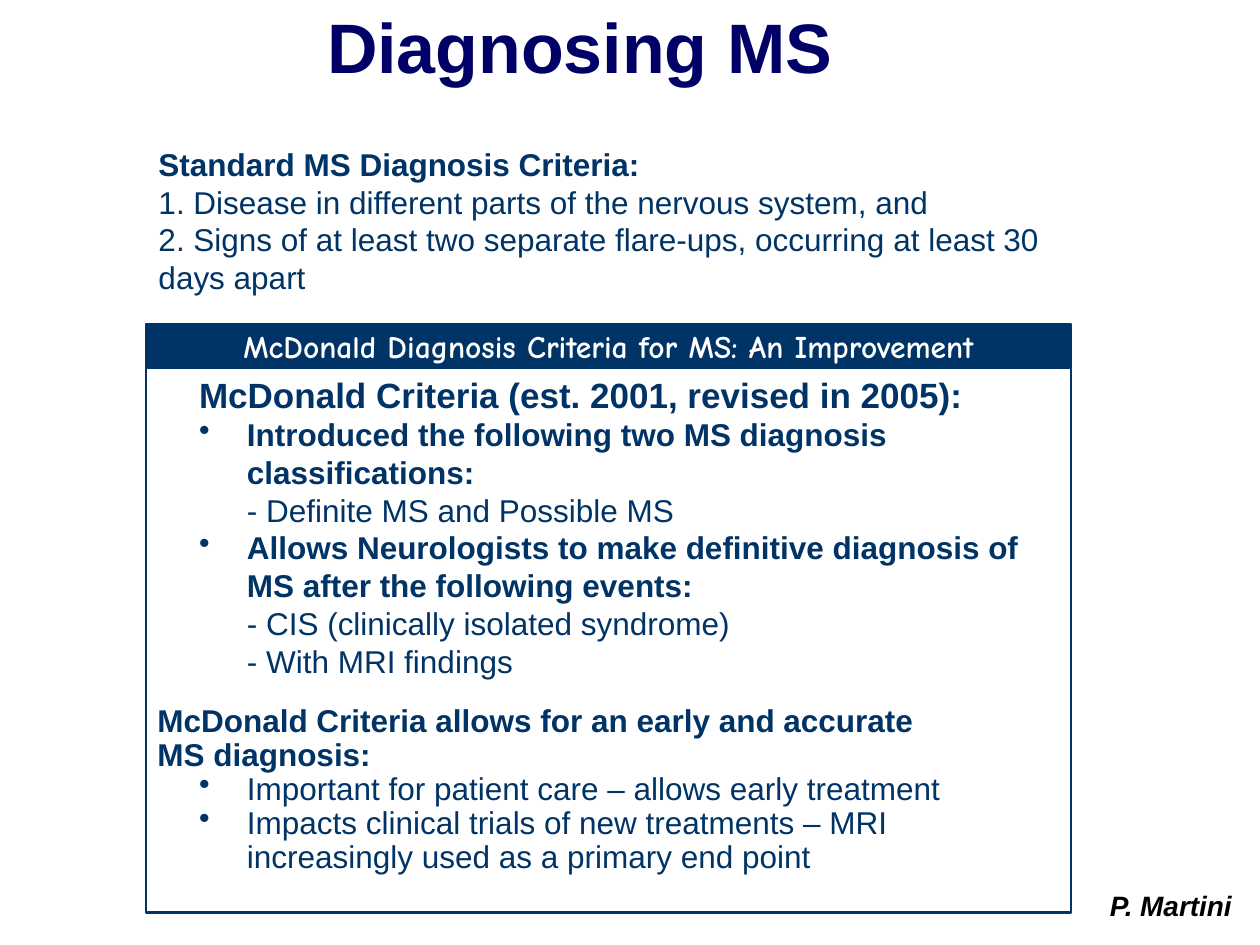
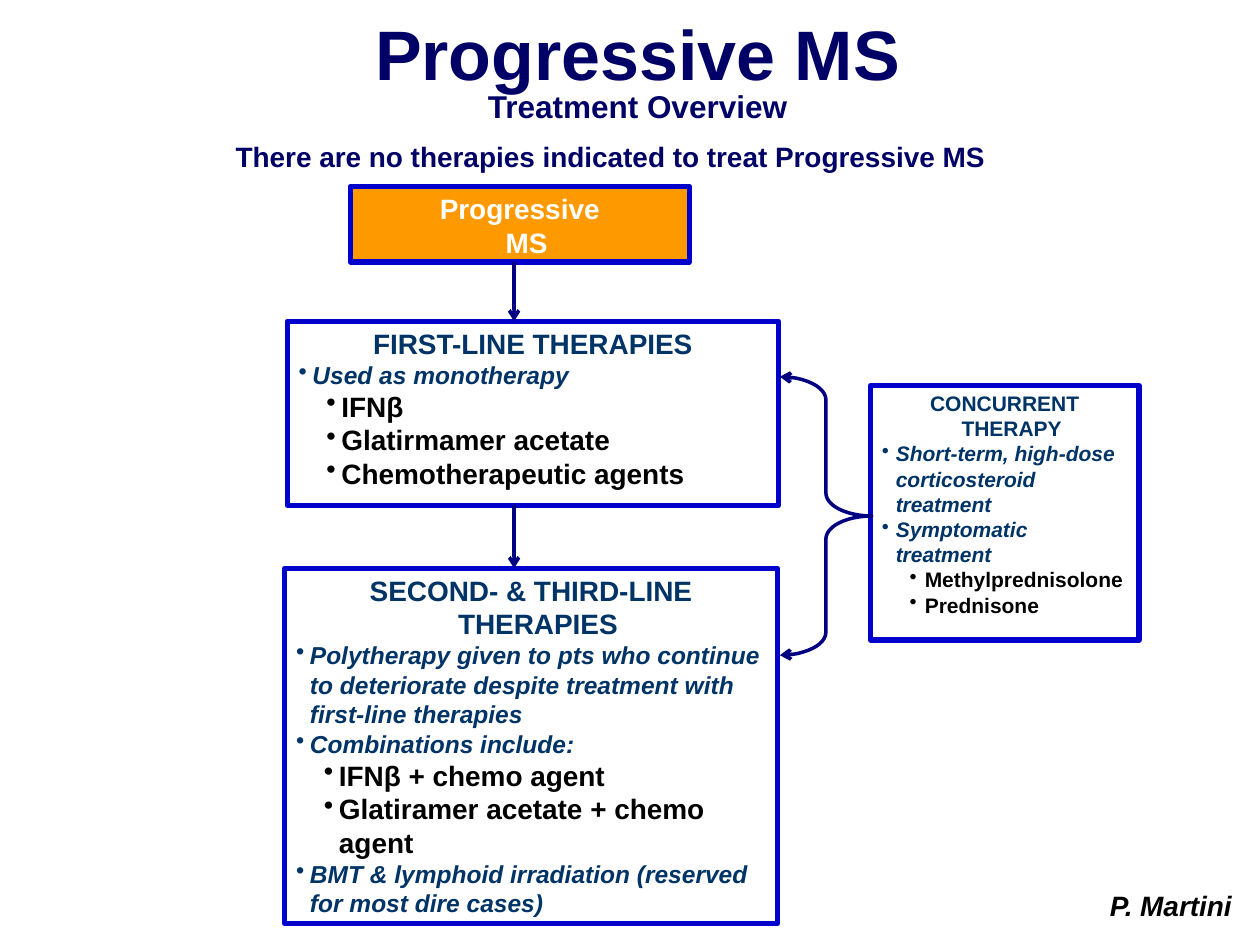
from lxml import etree
from pptx import Presentation
from pptx import util as u
from pptx.dml import color
from pptx.enum import shapes, text
from pptx.oxml import ns

# Shared look: a grid of 100 columns by 75 rows
COLUMNS, ROWS = 100, 75
WIDTH, HEIGHT = u.Inches(10), u.Inches(7.5)
FONT = "Arial"
TITLE, INK, BLACK, WHITE = "000066", "003366", "000000", "FFFFFF"
FRAME, ARROW, ORANGE = "0000CC", "000080", "FF9900"
LINE_HEIGHT = 1.2
INSETS = (0.09, 0.04, 0.09, 0.04)

# Paragraph formats: margins in inches
CENTERED = dict(align=text.PP_ALIGN.CENTER, margin=0.11, indent=-0.11)
NOTE = dict(margin=0.11, indent=-0.11, bullet=True, italic=True)
DRUG = dict(margin=0.34, indent=-0.12, bullet=True, ink=BLACK)
POINT = dict(margin=0.71, indent=-0.38, bullet=True)


def rgb(value):
    return color.RGBColor.from_string(value)


def place(box):
    """Turn a box in columns and rows into slide lengths."""
    left, top, width, height = box
    return (int(left * WIDTH / COLUMNS), int(top * HEIGHT / ROWS),
            int(width * WIDTH / COLUMNS), int(height * HEIGHT / ROWS))


def inside(box, left, top, width, height):
    return box[0] + left, box[1] + top, width, height


def add_text(frame, words, size=18, ink=INK, bold=True, italic=False, font=FONT,
             align=text.PP_ALIGN.LEFT, margin=0, indent=0, bullet=False,
             spacing=1, before=0, plain=""):
    """Add one paragraph; the plain part follows the words without bold."""
    paragraph = frame.paragraphs[0]
    if paragraph.runs:
        paragraph = frame.add_paragraph()
    properties = paragraph._p.get_or_add_pPr()
    properties.set("marL", str(u.Inches(margin)))
    properties.set("indent", str(u.Inches(indent)))
    if bullet:
        etree.SubElement(properties, ns.qn("a:buChar")).set("char", "•")
    paragraph.alignment = align
    paragraph.line_spacing = u.Pt(size * LINE_HEIGHT * spacing)
    paragraph.space_before = u.Pt(before)
    for part, weight in ((words, bold), (plain, False)):
        for number, line in enumerate(part.split("\n")):
            if number:
                paragraph.add_line_break()
            if line:
                run = paragraph.add_run()
                run.text = line
                run.font.name, run.font.size = font, u.Pt(size)
                run.font.bold, run.font.italic = weight, italic
                run.font.color.rgb = rgb(ink)


def set_frame(frame, insets=INSETS, anchor=text.MSO_ANCHOR.TOP, wrap=True):
    (frame.margin_left, frame.margin_top,
     frame.margin_right, frame.margin_bottom) = map(u.Inches, insets)
    frame.vertical_anchor = anchor
    frame.word_wrap = wrap
    frame.auto_size = text.MSO_AUTO_SIZE.NONE
    return frame


def add_box(slide, box, line, width, fill=None, **frame_format):
    shape = slide.shapes.add_shape(shapes.MSO_SHAPE.RECTANGLE, *place(box))
    shape.shadow.inherit = False
    if fill:
        shape.fill.solid()
        shape.fill.fore_color.rgb = rgb(fill)
    else:
        shape.fill.background()
    shape.line.color.rgb, shape.line.width = rgb(line), u.Pt(width)
    return set_frame(shape.text_frame, **frame_format)


def add_label(slide, box, **frame_format):
    return set_frame(slide.shapes.add_textbox(*place(box)).text_frame, **frame_format)


def style_arrow(shape, *ends):
    shape.line.color.rgb, shape.line.width = rgb(ARROW), u.Pt(2)
    line = shape.line._get_or_add_ln()
    for end in ends:
        etree.SubElement(line, ns.qn(f"a:{end}")).set("type", "arrow")


def add_arrow(slide, column, upper, lower):
    """Arrow from the bottom of the upper box to the top of the lower one."""
    start = place((column, upper[1] + upper[3], 0, 0))
    stop = place((column, lower[1], 0, 0))
    arrow = slide.shapes.add_connector(
        shapes.MSO_CONNECTOR.STRAIGHT, *start[:2], *stop[:2])
    style_arrow(arrow, "tailEnd")
    etree.SubElement(arrow._element.spPr, ns.qn("a:effectLst"))


def start_slide(presentation, title, box, subtitle=None, **frame_format):
    """Title and author line found on every slide."""
    slide = presentation.slides.add_slide(presentation.slide_layouts[5])
    heading = slide.shapes.title
    heading.left, heading.top, heading.width, heading.height = place(box)
    frame = set_frame(heading.text_frame, **frame_format)
    look = dict(ink=TITLE, align=text.PP_ALIGN.CENTER, spacing=0.8)
    add_text(frame, title, size=40, **look)
    if subtitle:
        add_text(frame, subtitle, **look)
    author = add_label(slide, (87.1, 70, 12.4, 3.7),
                       insets=(0.1, 0.05, 0.1, 0.05), wrap=False)
    add_text(author, "P. Martini", size=16, ink=BLACK, italic=True)
    return slide


def standard_criteria(slide, box):
    frame = add_label(slide, box, insets=(0.1, 0.05, 0.1, 0.05))
    add_text(frame, "Standard MS Diagnosis Criteria:",
             plain="\n1. Disease in different parts of the nervous system, and"
                   "\n2. Signs of at least two separate flare-ups, "
                   "occurring at least 30 days apart")


def mcdonald_panel(slide, box):
    width, height = box[2:]
    header_height = 3.5
    # Header band
    header = add_box(slide, inside(box, 0, 0, width, header_height), INK, 1.5, INK,
                     anchor=text.MSO_ANCHOR.MIDDLE, wrap=False)
    add_text(header, "McDonald Diagnosis Criteria for MS: An Improvement",
             ink=WHITE, font="Comic Neue", align=text.PP_ALIGN.CENTER)
    # Framed criteria
    body = add_box(slide, inside(box, 0, header_height, width, height - header_height),
                   INK, 1.5)
    add_text(body, "McDonald Criteria (est. 2001, revised in 2005):", size=20,
             margin=0.71, indent=-0.38)
    add_text(body, "Introduced the following two MS diagnosis classifications:",
             plain="\n- Definite MS and Possible MS", **POINT)
    add_text(body, "Allows Neurologists to make definitive diagnosis of MS "
                   "after the following events:", **POINT)
    for event in ("- CIS (clinically isolated syndrome)", "- With MRI findings"):
        add_text(body, event, bold=False, margin=0.71)
    # Benefits
    add_text(body, "McDonald Criteria allows for an early and accurate",
             spacing=0.9, before=14.4)
    add_text(body, "MS diagnosis:", spacing=0.9)
    for benefit in ("Important for patient care – allows early treatment",
                    "Impacts clinical trials of new treatments – MRI increasingly "
                    "used as a primary end point"):
        add_text(body, benefit, bold=False, spacing=0.9, **POINT)


def therapy_box(slide, box, heading, items, size=16, note_size=14):
    frame = add_box(slide, box, FRAME, 3)
    add_text(frame, heading, size=size, **CENTERED)
    for words, look in items:
        add_text(frame, words, size=note_size if look is NOTE else size, **look)


def treatment_flow(slide, box):
    condition = inside(box, 5.2, 0, 26.9, 6)
    first_line = inside(box, 0.2, 10.7, 39, 14.6)
    later_lines = inside(box, 0, 30.3, 39.1, 28.2)
    concurrent = inside(box, 46.5, 15.8, 21.3, 20.2)

    # Main column
    frame = add_box(slide, condition, FRAME, 3, ORANGE)
    add_text(frame, "Progressive\nMS", size=16, ink=WHITE, **CENTERED)
    therapy_box(slide, first_line, "FIRST-LINE THERAPIES", [
        ("Used as monotherapy", NOTE),
        ("IFNβ", DRUG),
        ("Glatirmamer acetate", DRUG),
        ("Chemotherapeutic agents", DRUG)])
    therapy_box(slide, later_lines, "SECOND- & THIRD-LINE THERAPIES", [
        ("Polytherapy given to pts who continue to deteriorate despite "
         "treatment with first-line therapies", NOTE),
        ("Combinations include:", NOTE),
        ("IFNβ + chemo agent", DRUG),
        ("Glatiramer acetate + chemo agent", DRUG),
        ("BMT & lymphoid irradiation (reserved for most dire cases)", NOTE)])
    for upper, lower in ((condition, first_line), (first_line, later_lines)):
        add_arrow(slide, box[0] + 18.2, upper, lower)

    # Side therapy and the brace that joins it
    therapy_box(slide, concurrent, "CONCURRENT THERAPY", [
        ("Short-term, high-dose corticosteroid treatment", NOTE),
        ("Symptomatic treatment", NOTE),
        ("Methylprednisolone", DRUG),
        ("Prednisone", DRUG)], size=12, note_size=12)
    brace = slide.shapes.add_shape(shapes.MSO_SHAPE.RIGHT_BRACE,
                                   *place(inside(box, 39.3, 15.1, 7.3, 22.1)))
    brace.shadow.inherit = False
    brace.fill.background()
    brace.adjustments[0], brace.adjustments[1] = 0.25, 0.5
    style_arrow(brace, "headEnd", "tailEnd")


def diagnosis_slide(presentation):
    slide = start_slide(presentation, "Diagnosing MS", (20.8, 1.6, 51.9, 11.5),
                        insets=(0.09, 0, 0.24, 0))
    standard_criteria(slide, (11.6, 11, 73.4, 16))
    mcdonald_panel(slide, (11.6, 25.7, 73.4, 46.7))


def treatment_slide(presentation):
    slide = start_slide(presentation, "Progressive MS", (23.5, 1.3, 54.2, 9.5),
                        "Treatment Overview", anchor=text.MSO_ANCHOR.MIDDLE)
    notice = add_label(slide, (17.8, 10.9, 65.6, 3.3))
    add_text(notice, "There are no therapies indicated to treat Progressive MS",
             size=16, ink=TITLE, spacing=0.9)
    treatment_flow(slide, (22.6, 14.8, 67.8, 58.5))


def main():
    presentation = Presentation()
    presentation.slide_width, presentation.slide_height = WIDTH, HEIGHT
    diagnosis_slide(presentation)
    treatment_slide(presentation)
    presentation.save("out.pptx")


if __name__ == "__main__":
    main()
